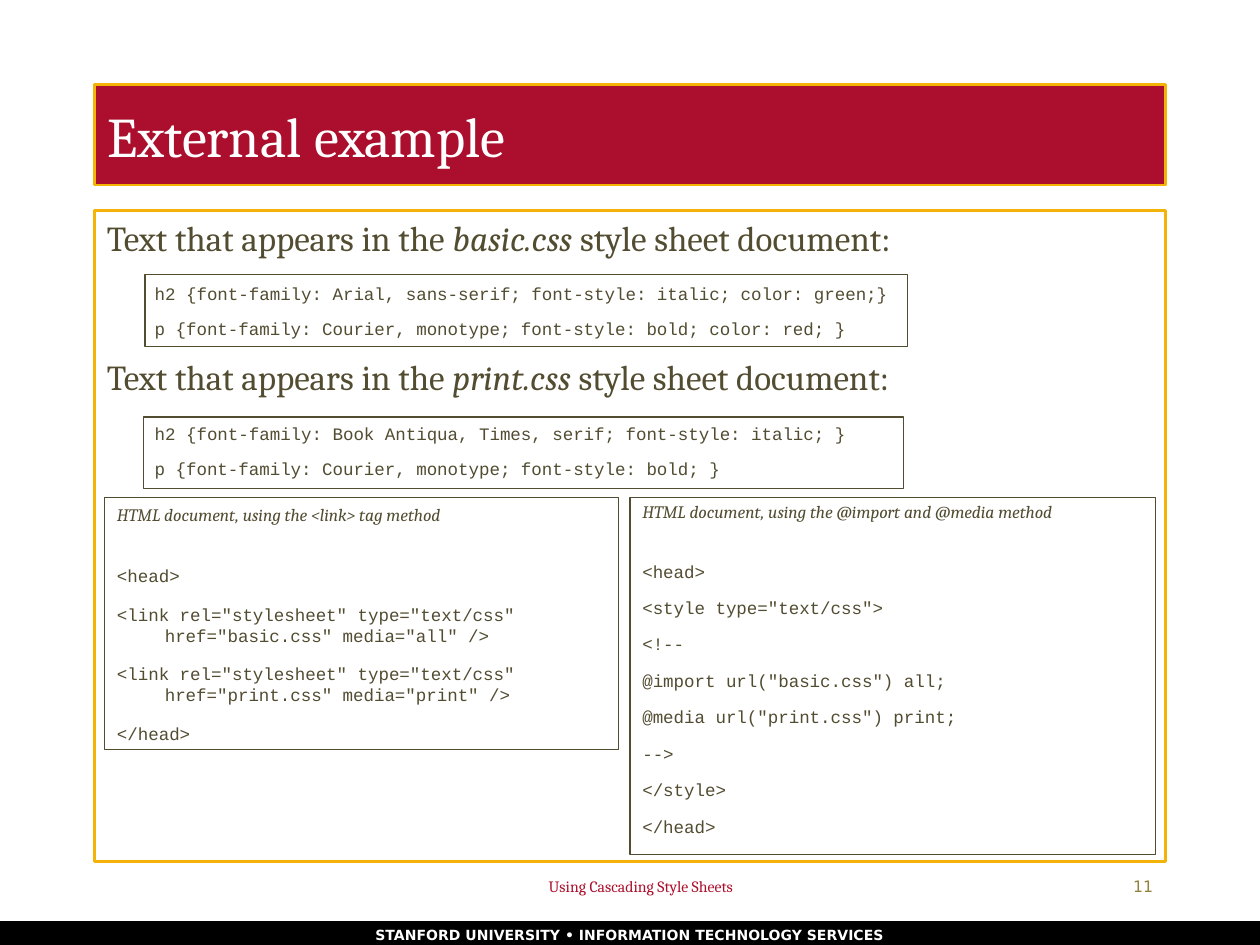
from dataclasses import dataclass

from pptx import Presentation
from pptx.dml.color import RGBColor
from pptx.enum.shapes import MSO_SHAPE
from pptx.enum.text import MSO_ANCHOR, PP_ALIGN
from pptx.util import Inches, Pt


@dataclass(frozen=True)
class Theme:
    cardinal: RGBColor = RGBColor(0xAC, 0x0F, 0x2D)
    gold: RGBColor = RGBColor(0xF4, 0xB3, 0x07)
    ink: RGBColor = RGBColor(0x52, 0x4C, 0x31)
    olive: RGBColor = RGBColor(0x93, 0x82, 0x3E)
    white: RGBColor = RGBColor(0xFF, 0xFF, 0xFF)
    black: RGBColor = RGBColor(0, 0, 0)
    serif: str = "Cambria"
    mono: str = "Courier New"
    sans: str = "DejaVu Sans"
    title_size: int = 32
    lead_size: int = 20
    code_size: int = 10
    footer_size: int = 9
    band_size: int = 8


THEME = Theme()
HANG = Inches(0.38)

STYLE_SHEETS = [
    ("basic.css", [
        "h2 {font-family: Arial, sans-serif; font-style: italic; color: green;}",
        "p {font-family: Courier, monotype; font-style: bold; color: red; }",
    ]),
    ("print.css", [
        "h2 {font-family: Book Antiqua, Times, serif; font-style: italic; }",
        "p {font-family: Courier, monotype; font-style: bold; }",
    ]),
]
LINK_METHOD = [
    "<head>",
    '<link rel="stylesheet" type="text/css" href="basic.css" media="all" />',
    '<link rel="stylesheet" type="text/css" href="print.css" media="print" />',
    "</head>",
]
IMPORT_METHOD = [
    "<head>",
    '<style type="text/css">',
    "<!--",
    '@import url("basic.css") all;',
    '@media url("print.css") print;',
    "-->",
    "</style>",
    "</head>",
]


def set_font(font, name, size, color, bold=False, italic=False):
    font.name, font.size = name, Pt(size)
    font.color.rgb = color
    font.bold, font.italic = bold, italic


def set_indent(paragraph, left, first):
    properties = paragraph._p.get_or_add_pPr()
    properties.set("marL", str(left))
    properties.set("indent", str(first))


def paragraphs(frame, count):
    """Return count paragraphs of an empty frame, its first one included."""
    return [frame.paragraphs[0]] + [frame.add_paragraph() for _ in range(count - 1)]


def prepare_frame(shape, anchor=MSO_ANCHOR.TOP):
    frame = shape.text_frame
    frame.word_wrap = True
    frame.vertical_anchor = anchor
    frame.margin_left = frame.margin_right = Inches(0.1)
    frame.margin_top = frame.margin_bottom = Inches(0.05)
    return frame


def add_outline(slide, left, top, width, height, color=THEME.ink, weight=0.75):
    outline = slide.shapes.add_shape(
        MSO_SHAPE.RECTANGLE, Inches(left), Inches(top), Inches(width), Inches(height))
    outline.shadow.inherit = False
    outline.fill.background()
    outline.line.color.rgb = color
    outline.line.width = Pt(weight)
    return outline


def add_band(slide, text):
    band = add_outline(slide, 0, 7.31, 10, 0.19)
    band.fill.solid()
    band.fill.fore_color.rgb = THEME.black
    band.line.fill.background()
    frame = prepare_frame(band)
    frame.margin_top, frame.margin_bottom = Inches(0.04), Inches(0.02)
    label = frame.paragraphs[0]
    label.text = text
    label.alignment = PP_ALIGN.CENTER
    set_font(label.font, THEME.sans, THEME.band_size, THEME.white, bold=True)


def format_title(slide, text):
    title = slide.shapes.title
    title.left, title.top = Inches(0.75), Inches(0.67)
    title.width, title.height = Inches(8.5), Inches(0.8)
    title.fill.solid()
    title.fill.fore_color.rgb = THEME.cardinal
    title.line.color.rgb = THEME.gold
    title.line.width = Pt(1.5)
    heading = prepare_frame(title, MSO_ANCHOR.MIDDLE).paragraphs[0]
    heading.text = text
    heading.alignment = PP_ALIGN.LEFT
    set_font(heading.font, THEME.serif, THEME.title_size, THEME.white)


def add_style_sheets(slide):
    """Framed body: a lead line for each style sheet, then its code lines."""
    body = add_outline(slide, 0.75, 1.67, 8.5, 5.17, THEME.gold, 1.5)
    frame = prepare_frame(body)
    slots = iter(paragraphs(frame, sum(1 + len(code) for _, code in STYLE_SHEETS)))
    for sheet_index, (file_name, code) in enumerate(STYLE_SHEETS):
        lead = next(slots)
        lead.alignment = PP_ALIGN.LEFT
        set_font(lead.font, THEME.serif, THEME.lead_size, THEME.ink)
        if sheet_index:
            lead.space_before = Pt(9.6)
        for text in ("Text that appears in the ", file_name, " style sheet document:"):
            run = lead.add_run()
            run.text = text
            set_font(run.font, THEME.serif, THEME.lead_size, THEME.ink,
                     italic=text == file_name)
        for line_index, text in enumerate(code):
            line = next(slots)
            line.text = text
            line.alignment = PP_ALIGN.LEFT
            line.line_spacing = Pt(20)
            line.space_before = Pt(0 if line_index else 6)
            set_indent(line, HANG, 0)
            set_font(line.font, THEME.mono, THEME.code_size, THEME.ink)


def add_method(slide, left, width, height, caption, code, line_spacing):
    frame = prepare_frame(add_outline(slide, left, 3.95, width, height))
    heading, *lines = paragraphs(frame, 1 + len(code))
    heading.text = caption
    set_font(heading.font, THEME.serif, THEME.code_size, THEME.ink, italic=True)
    for line, text in zip(lines, code):
        line.text = text
        line.space_before = line.space_after = Pt(5)
        set_font(line.font, THEME.mono, THEME.code_size, THEME.ink)
    lines[0].space_before = Pt(23)
    for paragraph in (heading, *lines):
        paragraph.alignment = PP_ALIGN.LEFT
        paragraph.line_spacing = line_spacing
        set_indent(paragraph, HANG, -HANG)


def add_footer(slide, left, width, text, align, font_name, color):
    footer = slide.shapes.add_textbox(
        Inches(left), Inches(6.83), Inches(width), Inches(0.33))
    label = prepare_frame(footer, MSO_ANCHOR.BOTTOM).paragraphs[0]
    label.text = text
    label.alignment = align
    set_font(label.font, font_name, THEME.footer_size, color)


def main():
    deck = Presentation()
    deck.slide_width, deck.slide_height = Inches(10), Inches(7.5)
    slide = deck.slides.add_slide(deck.slide_layouts[5])

    add_band(slide, "STANFORD UNIVERSITY • INFORMATION TECHNOLOGY SERVICES")
    format_title(slide, "External example")
    add_style_sheets(slide)
    add_method(slide, 0.83, 4.08, 2,
               "HTML document, using the <link> tag method", LINK_METHOD, 1.0)
    add_method(slide, 5, 4.17, 2.83,
               "HTML document, using the @import and @media method", IMPORT_METHOD, 0.9)
    add_outline(slide, 1.15, 2.18, 6.05, 0.57)
    add_outline(slide, 1.14, 3.31, 6.03, 0.57)
    add_footer(slide, 3, 4.17, "Using Cascading Style Sheets",
               PP_ALIGN.CENTER, THEME.serif, THEME.cardinal)
    add_footer(slide, 8.33, 0.92, "11", PP_ALIGN.RIGHT, THEME.sans, THEME.olive)

    deck.save("out.pptx")


if __name__ == "__main__":
    main()
